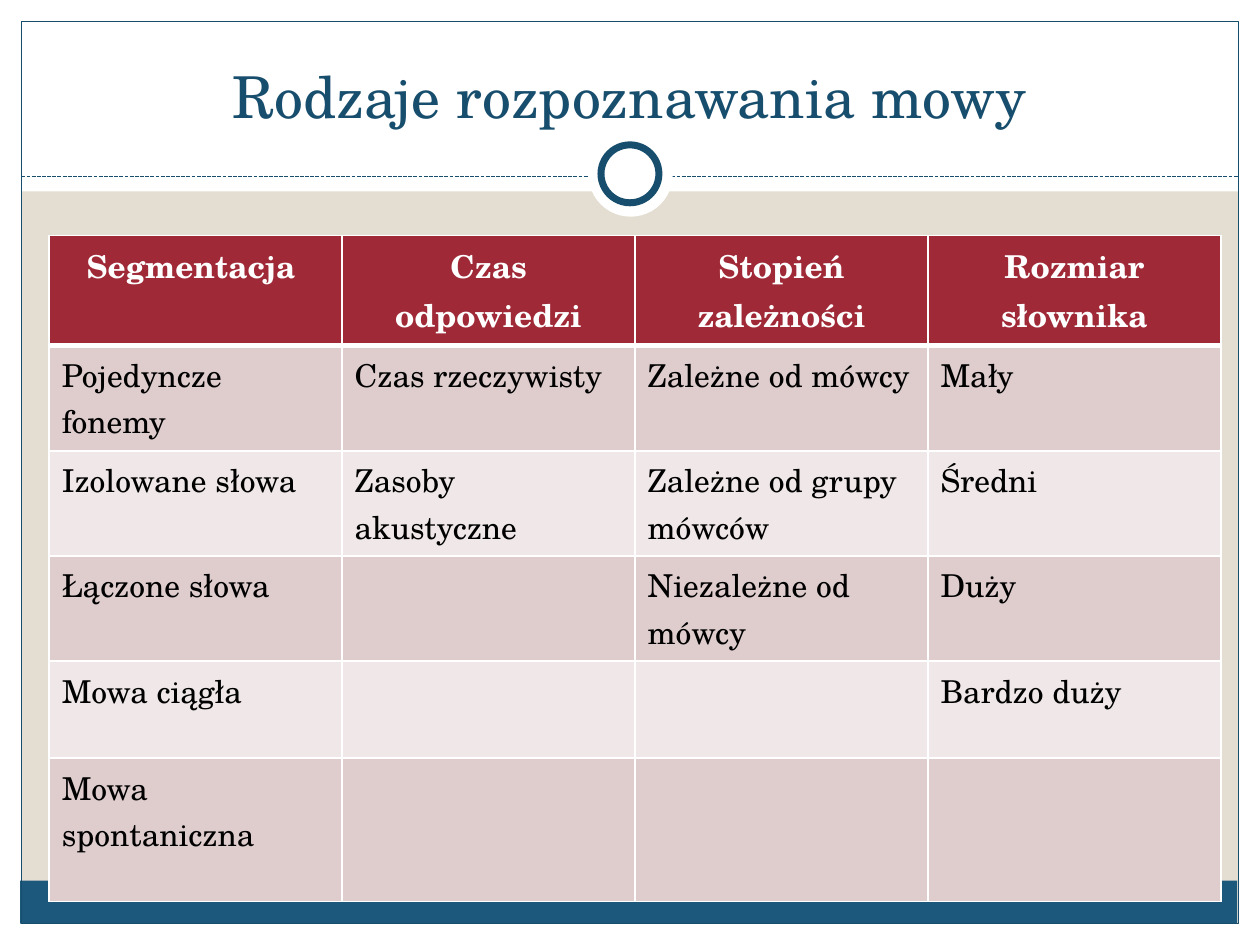
from lxml.etree import SubElement
from pptx import Presentation
from pptx.dml.color import RGBColor
from pptx.enum.dml import MSO_LINE
from pptx.enum.shapes import MSO_CONNECTOR, MSO_SHAPE
from pptx.enum.text import MSO_ANCHOR, PP_ALIGN
from pptx.oxml.ns import qn
from pptx.util import Inches, Pt

FONT = "TeX Gyre Schola"
WHITE, NAVY, BLUE, BEIGE = "FFFFFF", "184E6D", "1B587C", "E3DED1"
RED, DARK_BAND, LIGHT_BAND = "9F2936", "DFCDCE", "F0E8E8"

TITLE = "Rodzaje rozpoznawania mowy"
ROWS = [
    ["Segmentacja ", "Czas odpowiedzi", "Stopień zależności", "Rozmiar słownika"],
    ["Pojedyncze fonemy", "Czas rzeczywisty", "Zależne od mówcy", "Mały"],
    ["Izolowane słowa", "Zasoby akustyczne", "Zależne od grupy mówców", "Średni"],
    ["Łączone słowa", "", "Niezależne od mówcy", "Duży"],
    ["Mowa ciągła", "", "", "Bardzo duży"],
    ["Mowa spontaniczna", "", "", ""],
]
ROW_HEIGHTS = [0.87, 0.83, 0.83, 0.83, 0.77, 1.14]
TABLE_LEFT, TABLE_TOP, TABLE_WIDTH = 0.39, 1.87, 9.3

RECTANGLE, OVAL = MSO_SHAPE.RECTANGLE, MSO_SHAPE.OVAL
BACKDROP = [
    (RECTANGLE, (0, 7.33, 10, 0.17), WHITE, None),
    (RECTANGLE, (0, 0, 10, 1.52), WHITE, None),
    (RECTANGLE, (0, 0, 0.17, 7.5), WHITE, None),
    (RECTANGLE, (9.83, 0, 0.17, 7.5), WHITE, None),
    (RECTANGLE, (0.16, 6.99, 9.66, 0.34), BLUE, None),
    (RECTANGLE, (0.17, 0.17, 9.66, 7.16), None, 0.75),
]
RING = [
    (OVAL, (4.67, 1.05, 0.67, 0.67), WHITE, None),
    (OVAL, (4.77, 1.15, 0.46, 0.46), WHITE, 4),
]


def paint(fill, color):
    fill.solid()
    fill.fore_color.rgb = RGBColor.from_string(color)


def add_shapes(slide, items):
    for kind, box, color, line_width in items:
        shape = slide.shapes.add_shape(kind, *map(Inches, box))
        shape.shadow.inherit = False
        if color:
            paint(shape.fill, color)
        else:
            shape.fill.background()
        if line_width:
            paint(shape.line.fill, NAVY)
            shape.line.width = Pt(line_width)
        else:
            shape.line.fill.background()


def add_divider(slide):
    ends = map(Inches, (0.17, 1.4, 9.83, 1.4))
    line = slide.shapes.add_connector(MSO_CONNECTOR.STRAIGHT, *ends)
    paint(line.line.fill, NAVY)
    line.line.width = Pt(0.75)
    line.line.dash_style = MSO_LINE.SQUARE_DOT
    SubElement(line._element.spPr, qn("a:effectLst"))


def format_text(paragraph, size, color, bold=False, alignment=PP_ALIGN.LEFT):
    paragraph.alignment = alignment
    paragraph.font.name = FONT
    paragraph.font.size = Pt(size)
    paragraph.font.bold = bold
    paint(paragraph.font.fill, color)


def place_title(slide):
    title = slide.shapes.title
    title.left, title.top, title.width, title.height = map(
        Inches, (0.33, 0.25, 9.33, 0.83))
    title.text_frame.text = TITLE
    title.text_frame.vertical_anchor = MSO_ANCHOR.BOTTOM
    format_text(title.text_frame.paragraphs[0], 33, NAVY, alignment=PP_ALIGN.CENTER)
    slide.shapes._spTree.append(title._element)


def set_borders(cell, widths):
    properties = cell._tc.get_or_add_tcPr()
    for side, width in widths.items():
        line = SubElement(properties, qn(f"a:ln{side}"), w=str(Pt(width)))
        fill = SubElement(line, qn("a:solidFill"))
        SubElement(fill, qn("a:srgbClr"), val=WHITE)


def add_table(slide):
    box = (TABLE_LEFT, TABLE_TOP, TABLE_WIDTH, sum(ROW_HEIGHTS))
    table = slide.shapes.add_table(
        len(ROWS), len(ROWS[0]), *map(Inches, box)).table
    for column in table.columns:
        column.width = Inches(TABLE_WIDTH / len(ROWS[0]))
    for index, (texts, height) in enumerate(zip(ROWS, ROW_HEIGHTS)):
        table.rows[index].height = Inches(height)
        header = index == 0
        color = RED if header else DARK_BAND if index % 2 else LIGHT_BAND
        widths = {"L": 1, "R": 1, "T": 3 if index == 1 else 1, "B": 3 if header else 1}
        for cell, text in zip(table.rows[index].cells, texts):
            cell.text = text
            set_borders(cell, widths)
            paint(cell.fill, color)
            format_text(cell.text_frame.paragraphs[0], 18,
                        WHITE if header else "000000", header,
                        PP_ALIGN.CENTER if header else PP_ALIGN.LEFT)


def main():
    presentation = Presentation()
    presentation.slide_width, presentation.slide_height = Inches(10), Inches(7.5)
    slide = presentation.slides.add_slide(presentation.slide_layouts[5])
    paint(slide.background.fill, BEIGE)
    add_shapes(slide, BACKDROP)
    add_divider(slide)
    add_shapes(slide, RING)
    place_title(slide)
    add_table(slide)
    presentation.save("out.pptx")


if __name__ == "__main__":
    main()
